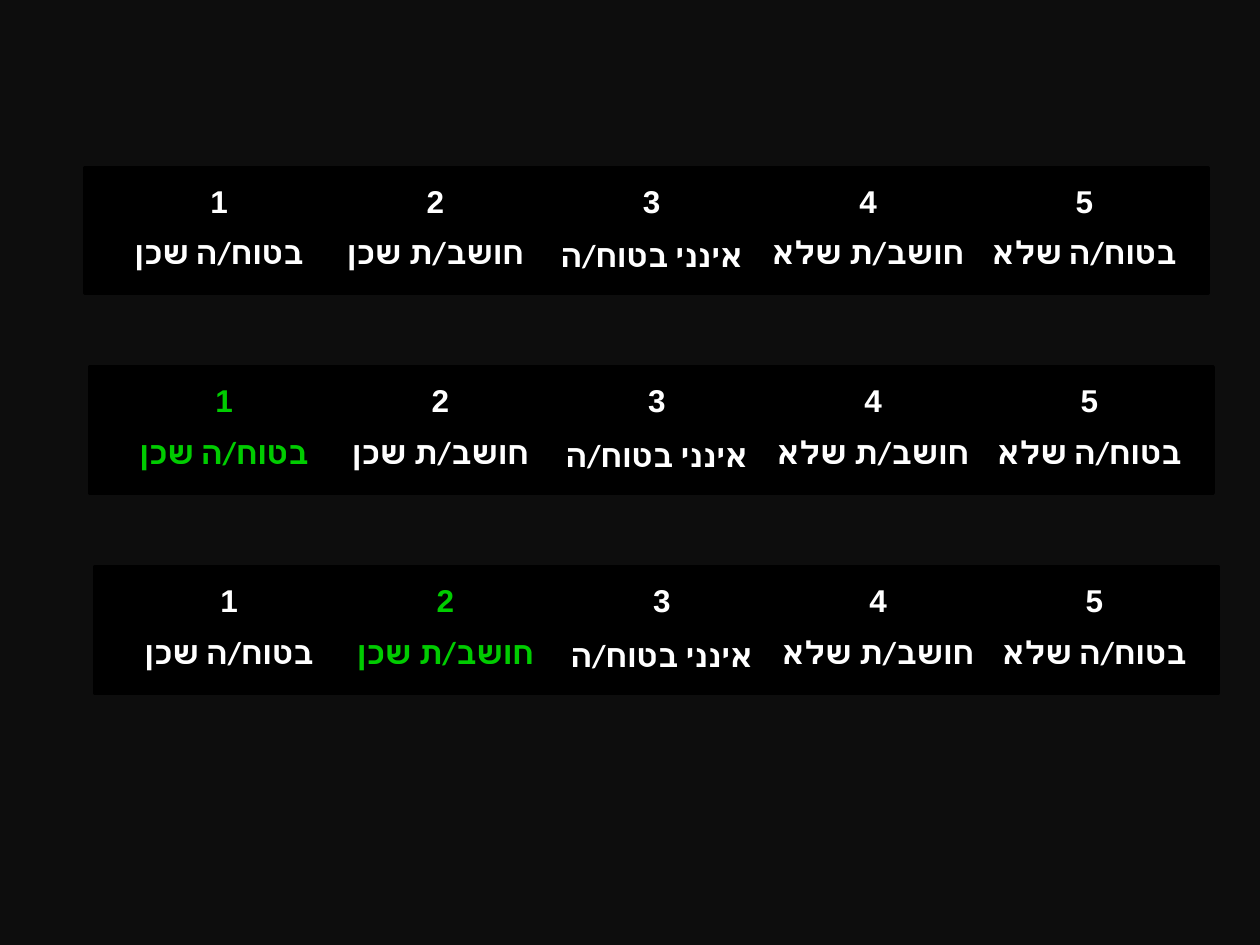
from lxml import etree
from pptx import Presentation
from pptx.dml.color import RGBColor
from pptx.enum.shapes import MSO_SHAPE
from pptx.enum.text import MSO_ANCHOR, PP_ALIGN
from pptx.oxml.ns import qn
from pptx.util import Inches, Pt

RECTANGLE = MSO_SHAPE.RECTANGLE
CENTER = PP_ALIGN.CENTER
MIDDLE = MSO_ANCHOR.MIDDLE
PLAIN_STYLE = "{2D5ABB26-0587-4C30-8999-92F81FD0307C}"

BACKDROP, BLACK, WHITE, GREEN = "0D0D0D", "000000", "FFFFFF", "00CC00"
ANSWERS = ["בטוח/ה שכן", "חושב/ת שכן", "אינני בטוח/ה", "חושב/ת שלא", "בטוח/ה שלא"]
UNDECIDED = 2
CHOSEN = [None, 0, 1]
LEFT, TOP = 0.67, 1.33
STEP_X, STEP_Y = 0.04, 1.585
PANEL_W, PANEL_H = 8.92, 1
INSET_X, INSET_Y = 0.21, 0.085
COLUMN_W, ROW_HEIGHTS = 1.717, (0.4, 0.45)


def rgb(color):
    """Turn a hex string into a colour."""
    return RGBColor.from_string(color)


def paint(fill, color):
    """Give a fill one solid colour."""
    fill.solid()
    fill.fore_color.rgb = rgb(color)


def add_panel(slide, x, y):
    """Draw the black panel behind a scale."""
    sp = slide.shapes.add_shape(RECTANGLE, Inches(x), Inches(y), Inches(PANEL_W), Inches(PANEL_H))
    sp.shadow.inherit = False
    paint(sp.fill, BLACK)
    sp.line.color.rgb = rgb(BLACK)
    sp.line.width = Pt(2)


def format_cell(cell, color):
    """Set fill, margins and font of a cell and return its paragraph."""
    paint(cell.fill, BLACK)
    cell.margin_left = cell.margin_right = Inches(0.05)
    cell.margin_top = cell.margin_bottom = Inches(0.05)
    p = cell.text_frame.paragraphs[0]
    p.alignment = CENTER
    p.font.size, p.font.bold = Pt(18), True
    p.font.color.rgb = rgb(color)
    return p


def add_run(p, text, font, color, complex_script=False):
    """Append a bold run, naming its complex-script font if asked."""
    r = p.add_run()
    r.text = text
    r.font.name, r.font.size, r.font.bold = font, Pt(18), True
    r.font.color.rgb = rgb(color)
    if complex_script:
        etree.SubElement(r.font._element, qn("a:cs"), typeface=font)


def write_answer(p, answer, color):
    """Write a right-to-left answer with its slash in Arial."""
    p._p.get_or_add_pPr().set("rtl", "1")
    before, after = answer.split("/")
    add_run(p, before, "Calibri", color, True)
    add_run(p, "/", "Arial", color)
    add_run(p, after, "Calibri", color, True)


def add_scale(slide, x, y, chosen):
    """Add the five-point answer table with the chosen column in green."""
    frame = slide.shapes.add_table(
        2, len(ANSWERS), Inches(x), Inches(y),
        Inches(COLUMN_W * len(ANSWERS)), Inches(sum(ROW_HEIGHTS)))
    table = frame.table
    table.first_row = table.horz_banding = False
    next(frame._element.iter(qn("a:tableStyleId"))).text = PLAIN_STYLE
    for row, height in zip(table.rows, ROW_HEIGHTS):
        row.height = Inches(height)
    for i, answer in enumerate(ANSWERS):
        table.columns[i].width = Inches(COLUMN_W)
        color = GREEN if i == chosen else WHITE
        add_run(format_cell(table.cell(0, i), color), str(i + 1), "Arial", color)
        write_answer(format_cell(table.cell(1, i), color), answer, color)
    table.cell(1, UNDECIDED).vertical_anchor = MIDDLE


def main():
    """Build the slide with three answer scales."""
    prs = Presentation()
    prs.slide_width, prs.slide_height = Inches(10), Inches(7.5)
    slide = prs.slides.add_slide(prs.slide_layouts[6])
    paint(slide.background.fill, BACKDROP)
    for n, chosen in enumerate(CHOSEN):
        x, y = LEFT + n * STEP_X, TOP + n * STEP_Y
        add_panel(slide, x, y)
        add_scale(slide, x + INSET_X, y + INSET_Y, chosen)
    prs.save("out.pptx")


if __name__ == "__main__":
    main()
